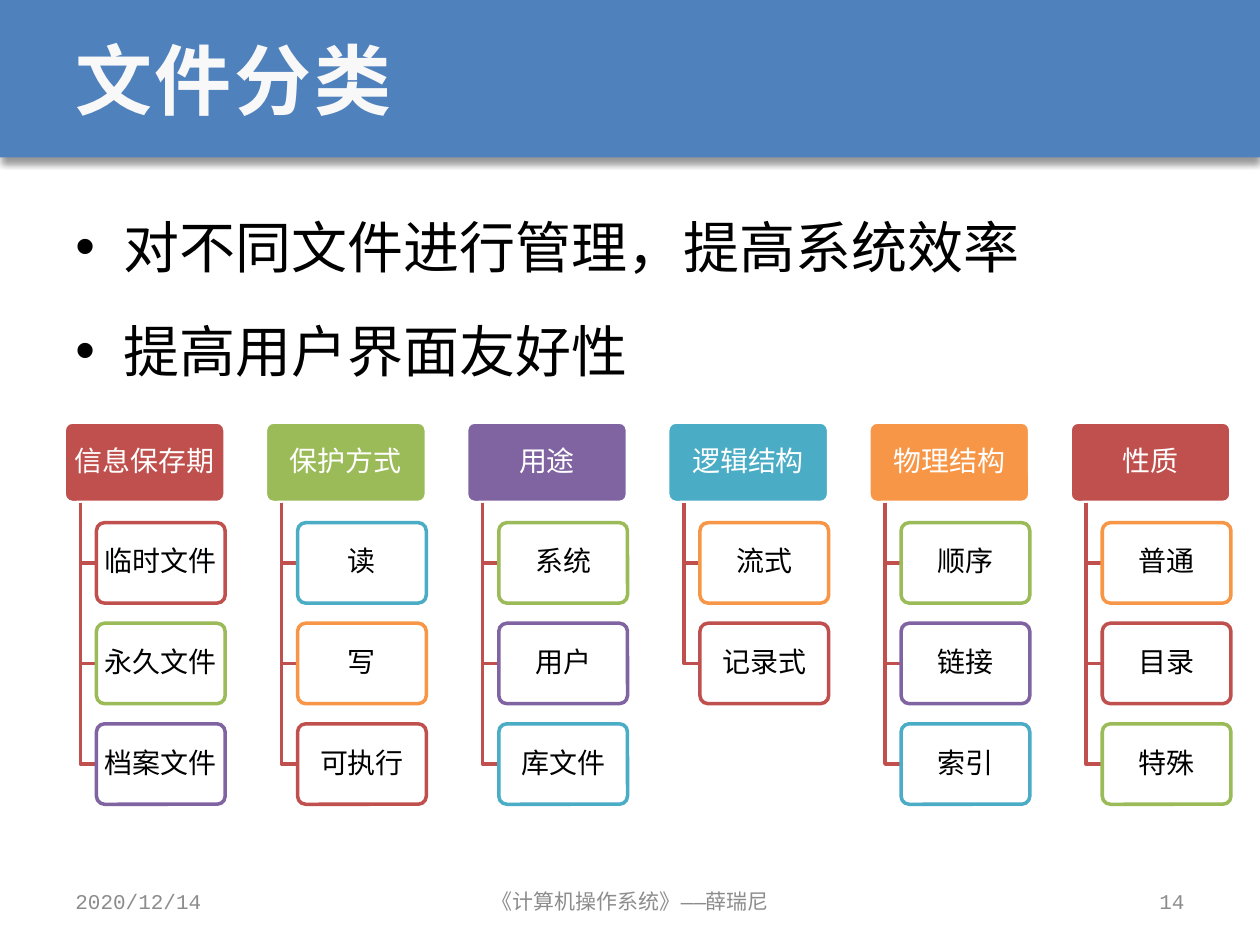
from dataclasses import dataclass
from itertools import cycle

from lxml import etree
from pptx import Presentation
from pptx import util as u
from pptx.dml.color import RGBColor
from pptx.enum import shapes, text
from pptx.oxml.ns import qn


@dataclass(frozen=True)
class Theme:
    bar: str = "4F81BD"
    title: str = "F8F8F8"
    ink: str = "000000"
    paper: str = "FFFFFF"
    muted: str = "8C8C8C"
    branch: str = "C0504D"
    accents: tuple = ("C0504D", "9BBB59", "8064A2", "4BACC6", "F79646")
    mono: str = "Courier New"
    sans: str = "Arial"
    cjk: str = "Noto Sans CJK SC"
    title_size: int = 44
    body_size: int = 32
    node_size: int = 16
    footer_size: int = 12
    line: int = 2


T = Theme()
W, H = 10, 7.5
MARGIN = 0.05 * W

# Tree grid: every length follows from the width of one heading
TREE_LEFT, TREE_RIGHT, TREE_TOP = 0.51, 9.77, 3.35
GAP = 0.25
CATEGORIES = [
    ("信息保存期", ["临时文件", "永久文件", "档案文件"]),
    ("保护方式", ["读", "写", "可执行"]),
    ("用途", ["系统", "用户", "库文件"]),
    ("逻辑结构", ["流式", "记录式"]),
    ("物理结构", ["顺序", "链接", "索引"]),
    ("性质", ["普通", "目录", "特殊"]),
]
HEAD_W = (TREE_RIGHT - TREE_LEFT) / (len(CATEGORIES) * (1 + GAP) - GAP)
NODE_H = HEAD_W / 2
COL_STEP, ROW_STEP = HEAD_W * (1 + GAP), NODE_H * (1 + GAP)
LEAF_W, LEAF_INDENT, TRUNK_INDENT = 0.8 * HEAD_W, 0.2 * HEAD_W, 0.1 * HEAD_W


def apply(target, values):
    for name, value in values.items():
        setattr(target, name, value)


def rgb(color):
    return RGBColor.from_string(color)


def inches(*values):
    return [u.Inches(v) for v in values]


def write(p, content, size, font, color, bold=False):
    r = p.add_run()
    r.text = content
    apply(r.font, {"size": u.Pt(size), "name": font, "bold": bold})
    r.font.color.rgb = rgb(color)
    rpr = r._r.get_or_add_rPr()
    etree.SubElement(rpr, qn("a:ea")).set("typeface", font)
    return rpr


def text_frame(s, box, anchor=text.MSO_ANCHOR.MIDDLE):
    tf = s.shapes.add_textbox(*inches(*box)).text_frame
    apply(tf, {"word_wrap": True, "vertical_anchor": anchor})
    return tf


def add_bar(s, height):
    sp = s.shapes.add_shape(shapes.MSO_SHAPE.RECTANGLE, *inches(0, 0, W, height))
    sp.fill.solid()
    sp.fill.fore_color.rgb = rgb(T.bar)
    sp.line.fill.background()
    sp.shadow.inherit = False
    effects = sp._element.spPr.find(qn("a:effectLst"))
    shadow = etree.SubElement(
        effects, qn("a:outerShdw"), blurRad=str(u.Pt(4)), dist=str(u.Pt(3)),
        dir="5400000", algn="t", rotWithShape="0")
    black = etree.SubElement(shadow, qn("a:srgbClr"), val="000000")
    etree.SubElement(black, qn("a:alpha"), val="40000")


def add_title(s, content, height):
    p = text_frame(s, (MARGIN, 0, W - 2 * MARGIN, height)).paragraphs[0]
    write(p, content, T.title_size, T.mono, T.title, True).set("spc", "150")


def add_bullets(s, lines, box):
    tf = text_frame(s, box, text.MSO_ANCHOR.TOP)
    for i, line in enumerate(lines):
        p = tf.add_paragraph() if i else tf.paragraphs[0]
        apply(p, {"line_spacing": 1.3, "space_before": u.Pt(9.4)})
        ppr = p._p.get_or_add_pPr()
        ppr.set("marL", str(u.Inches(0.38)))
        ppr.set("indent", str(-u.Inches(0.38)))
        etree.SubElement(ppr, qn("a:buFont"), typeface=T.sans)
        etree.SubElement(ppr, qn("a:buChar"), char="•")
        write(p, line, T.body_size, T.mono, T.ink)


def add_node(s, content, box, fill, line, color, font, opacity=100):
    sp = s.shapes.add_shape(shapes.MSO_SHAPE.ROUNDED_RECTANGLE, *inches(*box))
    sp.adjustments[0] = 0.1
    sp.shadow.inherit = False
    sp.fill.solid()
    sp.fill.fore_color.rgb = rgb(fill)
    if opacity < 100:
        clr = sp._element.spPr.find(qn("a:solidFill")).find(qn("a:srgbClr"))
        etree.SubElement(clr, qn("a:alpha"), val=str(opacity * 1000))
    sp.line.color.rgb = rgb(line)
    sp.line.width = u.Pt(T.line)
    side, edge = inches(0.03, 0.02)
    tf = sp.text_frame
    apply(tf, {"word_wrap": True, "vertical_anchor": text.MSO_ANCHOR.MIDDLE,
               "margin_left": side, "margin_right": side,
               "margin_top": edge, "margin_bottom": edge})
    p = tf.paragraphs[0]
    apply(p, {"alignment": text.PP_ALIGN.CENTER, "line_spacing": 0.9})
    write(p, content, T.node_size, font, color)


def add_branch(s, x, top, bottom, right):
    fb = s.shapes.build_freeform(*inches(x, top))
    fb.add_line_segments([inches(x, bottom), inches(right, bottom)], close=False)
    sp = fb.convert_to_shape()
    sp.fill.background()
    sp.line.color.rgb = rgb(T.branch)
    sp.line.width = u.Pt(T.line)
    sp.shadow.inherit = False


def add_tree(s):
    leaf_colors = cycle(T.accents)
    for col, (heading, leaves) in enumerate(CATEGORIES):
        x = TREE_LEFT + col * COL_STEP
        add_node(s, heading, (x, TREE_TOP, HEAD_W, NODE_H),
                 T.accents[col % len(T.accents)], T.paper, T.paper, T.sans)
        leaf_x = x + LEAF_INDENT
        for row, leaf in enumerate(leaves, 1):
            y = TREE_TOP + row * ROW_STEP
            add_branch(s, x + TRUNK_INDENT, TREE_TOP + NODE_H, y + NODE_H / 2, leaf_x)
            add_node(s, leaf, (leaf_x, y, LEAF_W, NODE_H), T.paper, next(leaf_colors),
                     T.ink, T.sans if col else T.cjk, opacity=90)


def add_footer(s):
    align = text.PP_ALIGN
    for content, x, width, side in (
        ("2020/12/14", MARGIN, 2.33, align.LEFT),
        ("《计算机操作系统》——薛瑞尼", 3.42, 3.17, align.CENTER),
        ("14", 7.17, 2.33, align.RIGHT),
    ):
        p = text_frame(s, (x, 6.95, width, 0.4)).paragraphs[0]
        p.alignment = side
        write(p, content, T.footer_size, T.mono, T.muted)


def main():
    prs = Presentation()
    apply(prs, {"slide_width": u.Inches(W), "slide_height": u.Inches(H)})
    s = prs.slides.add_slide(prs.slide_layouts[6])

    # Header band
    band = H / 6
    add_bar(s, band)
    add_title(s, "文件分类", band)

    # Aims, then the classification tree
    add_bullets(s, ["对不同文件进行管理，提高系统效率", "提高用户界面友好性"],
                (MARGIN, 1.48, W - 2 * MARGIN, 5.33))
    add_tree(s)

    add_footer(s)
    prs.save("out.pptx")


if __name__ == "__main__":
    main()
